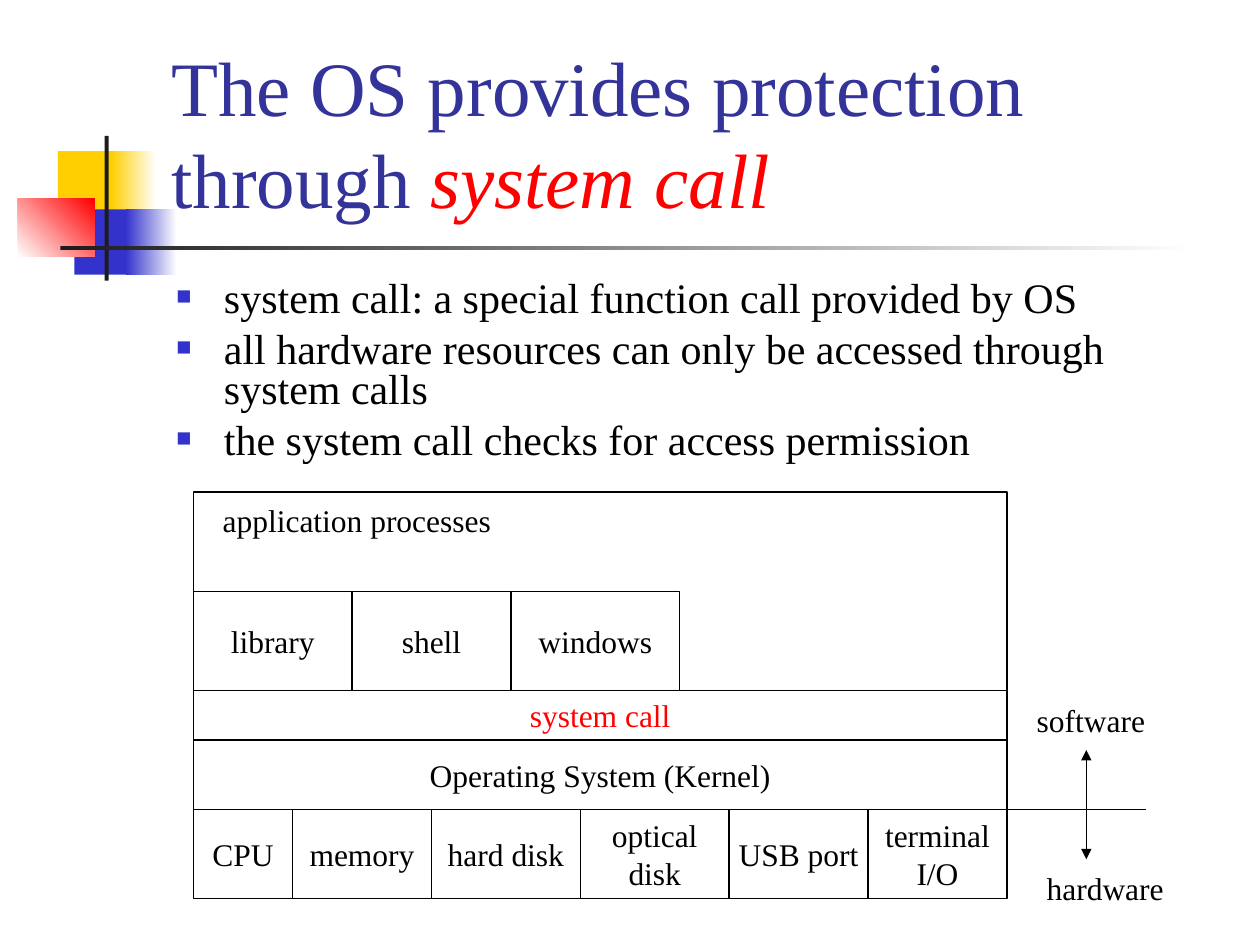
from dataclasses import dataclass
from itertools import accumulate

from lxml.etree import SubElement
from pptx import Presentation
from pptx.dml.color import RGBColor as RGB
from pptx.enum.shapes import MSO_CONNECTOR as Connector, MSO_SHAPE as Preset
from pptx.enum.text import MSO_ANCHOR as Anchor, MSO_AUTO_SIZE as AutoSize, PP_ALIGN as Align
from pptx.oxml.ns import qn
from pptx.util import Cm, Pt


@dataclass(frozen=True)
class Theme:
    font: str = "Times New Roman"
    title_size: int = 44
    body_size: int = 24
    label_size: int = 18
    line_width: float = 0.75
    text: str = "000000"
    title: str = "333399"
    accent: str = "FF0000"
    blue: str = "3333CC"
    yellow: str = "FFCF01"
    dark: str = "1C1C1C"
    paper: str = "FFFFFF"


def apply_format(target, values):
    for name, value in values.items():
        setattr(target, name, value)


class SlideBuilder:
    def __init__(self, slide, theme):
        self.slide, self.theme = slide, theme
        self.shapes = slide.shapes

    def style(self, run, size, color=None, **extra):
        apply_format(run.font, {"name": self.theme.font, "size": Pt(size), **extra})
        run.font.color.rgb = RGB.from_string(color or self.theme.text)

    def place(self, placeholder, left, top, width, height, **frame_format):
        """Move a placeholder, bring it to the front and return its text frame."""
        apply_format(placeholder, {"left": Cm(left), "top": Cm(top),
                                   "width": Cm(width), "height": Cm(height)})
        self.shapes.element.append(placeholder.element)
        apply_format(placeholder.text_frame,
                     {"word_wrap": True, "auto_size": AutoSize.NONE, **frame_format})
        return placeholder.text_frame

    def title(self, pieces, *area):
        frame = self.place(self.shapes.title, *area, vertical_anchor=Anchor.BOTTOM)
        heading = frame.paragraphs[0]
        heading.alignment = Align.LEFT
        for text, color, italic in pieces:
            run = heading.add_run()
            run.text = text
            self.style(run, self.theme.title_size, color, italic=italic)

    def bullets(self, items, *area):
        frame = self.place(self.slide.placeholders[1], *area, vertical_anchor=Anchor.TOP)
        frame.text = "\n".join(items)
        for item in frame.paragraphs:
            apply_format(item, {"line_spacing": 0.8, "space_before": Pt(6)})
            self.style(item.runs[0], self.theme.body_size)
            props = item._p.get_or_add_pPr()
            props.set("marL", str(Cm(0.96)))
            props.set("indent", str(-Cm(0.96)))
            bullet_color = SubElement(props, qn("a:buClr"))
            SubElement(bullet_color, qn("a:srgbClr"), val=self.theme.blue)
            SubElement(props, qn("a:buSzPct"), val="60000")
            SubElement(props, qn("a:buFont"), typeface=self.theme.font)
            SubElement(props, qn("a:buChar"), char="■")

    def rectangle(self, left, top, width, height):
        rect = self.shapes.add_shape(Preset.RECTANGLE, Cm(left), Cm(top), Cm(width), Cm(height))
        rect.shadow.inherit = False
        return rect

    def ornament(self, area, colors, angle=0):
        """Draw a borderless block, solid for one colour and graded for two."""
        block = self.rectangle(*area)
        block.line.fill.background()
        if len(colors) == 1:
            block.fill.solid()
            block.fill.fore_color.rgb = RGB.from_string(colors[0])
            return
        block.fill.gradient()
        block.fill.gradient_angle = angle
        for stop, color in zip(block.fill.gradient_stops, colors):
            stop.color.rgb = RGB.from_string(color)

    def box(self, text, left, top, width, height, color=None):
        layer = self.rectangle(left, top, width, height)
        layer.fill.background()
        layer.line.color.rgb = RGB.from_string(self.theme.text)
        layer.line.width = Pt(self.theme.line_width)
        if not text:
            return
        frame = layer.text_frame
        apply_format(frame, {"text": text, "word_wrap": False, "vertical_anchor": Anchor.MIDDLE})
        for line in frame.paragraphs:
            line.alignment = Align.CENTER
            self.style(line.runs[0], self.theme.label_size, color)

    def row(self, cells, left, top, height):
        """Draw (text, width) cells side by side."""
        lefts = accumulate((width for _, width in cells), initial=left)
        for (text, width), cell_left in zip(cells, lefts):
            self.box(text, cell_left, top, width, height)

    def label(self, text, left, top, width):
        caption = self.shapes.add_textbox(Cm(left), Cm(top), Cm(width), Cm(1.02))
        apply_format(caption.text_frame, {"text": text, "word_wrap": False,
                                          "auto_size": AutoSize.SHAPE_TO_FIT_TEXT})
        self.style(caption.text_frame.paragraphs[0].runs[0], self.theme.label_size)

    def line(self, x1, y1, x2, y2, arrow=False):
        rule = self.shapes.add_connector(Connector.STRAIGHT, Cm(x1), Cm(y1), Cm(x2), Cm(y2))
        rule.line.color.rgb = RGB.from_string(self.theme.text)
        rule.line.width = Pt(self.theme.line_width)
        if arrow:
            SubElement(rule.line._get_or_add_ln(), qn("a:tailEnd"), type="triangle")
        SubElement(rule.element.spPr, qn("a:effectLst"))


def main():
    deck = Presentation()
    apply_format(deck, {"slide_width": Cm(25.4), "slide_height": Cm(19.05)})
    theme = Theme()
    page = SlideBuilder(deck.slides.add_slide(deck.slide_layouts[1]), theme)

    ornaments = [
        ((1.17, 3.05, 1.22, 1.32), [theme.yellow]),
        ((2.24, 3.05, 0.91, 1.32), [theme.yellow, theme.paper]),
        ((1.5, 4.22, 1.17, 1.32), [theme.blue]),
        ((2.54, 4.22, 1.02, 1.32), [theme.blue, theme.paper]),
        ((0.36, 4.01, 1.55, 1.17), [theme.paper, theme.accent], 45),
        ((2.11, 2.74, 0.08, 2.92), [theme.dark]),
        ((1.22, 4.95, 22.86, 0.1), [theme.dark, theme.paper]),
    ]
    for ornament in ornaments:
        page.ornament(*ornament)

    page.title([("The OS provides protection through ", theme.title, False),
                ("system call", theme.accent, True)], 3.2, 0.58, 21.64, 4.06)
    page.bullets(["system call: a special function call provided by OS",
                  "all hardware resources can only be accessed through system calls",
                  "the system call checks for access permission"], 3.3, 5.54, 21.59, 4.19)

    left, width = 3.9, 16.4
    right = left + width
    heights = [4, 1, 1.4, 1.8]
    apps_top, call_top, kernel_top, hardware_top = accumulate(heights[:-1], initial=9.92)
    apps_height, call_height, kernel_height, hardware_height = heights

    page.row([("CPU", 2), ("memory", 2.8), ("hard disk", 3), ("optical\ndisk", 3),
              ("USB port", 2.8), ("terminal\nI/O", 2.8)], left, hardware_top, hardware_height)
    page.box("Operating System (Kernel)", left, kernel_top, width, kernel_height)
    page.box("system call", left, call_top, width, call_height, theme.accent)
    page.box("", left, apps_top, width, apps_height)
    page.label("application processes", 4.24, 9.98, 5.92)
    page.row([("library", 3.2), ("shell", 3.2), ("windows", 3.4)],
             left, apps_top + apps_height / 2, apps_height / 2)

    arrow_x = 21.9
    page.line(right, hardware_top, 23.1, hardware_top)
    for arrow_end in (hardware_top + 1, hardware_top - 1.2):
        page.line(arrow_x, hardware_top, arrow_x, arrow_end, arrow=True)
    page.label("hardware", 20.85, 17.4, 2.87)
    page.label("software", 20.65, 14, 2.69)

    deck.save("out.pptx")


if __name__ == "__main__":
    main()
